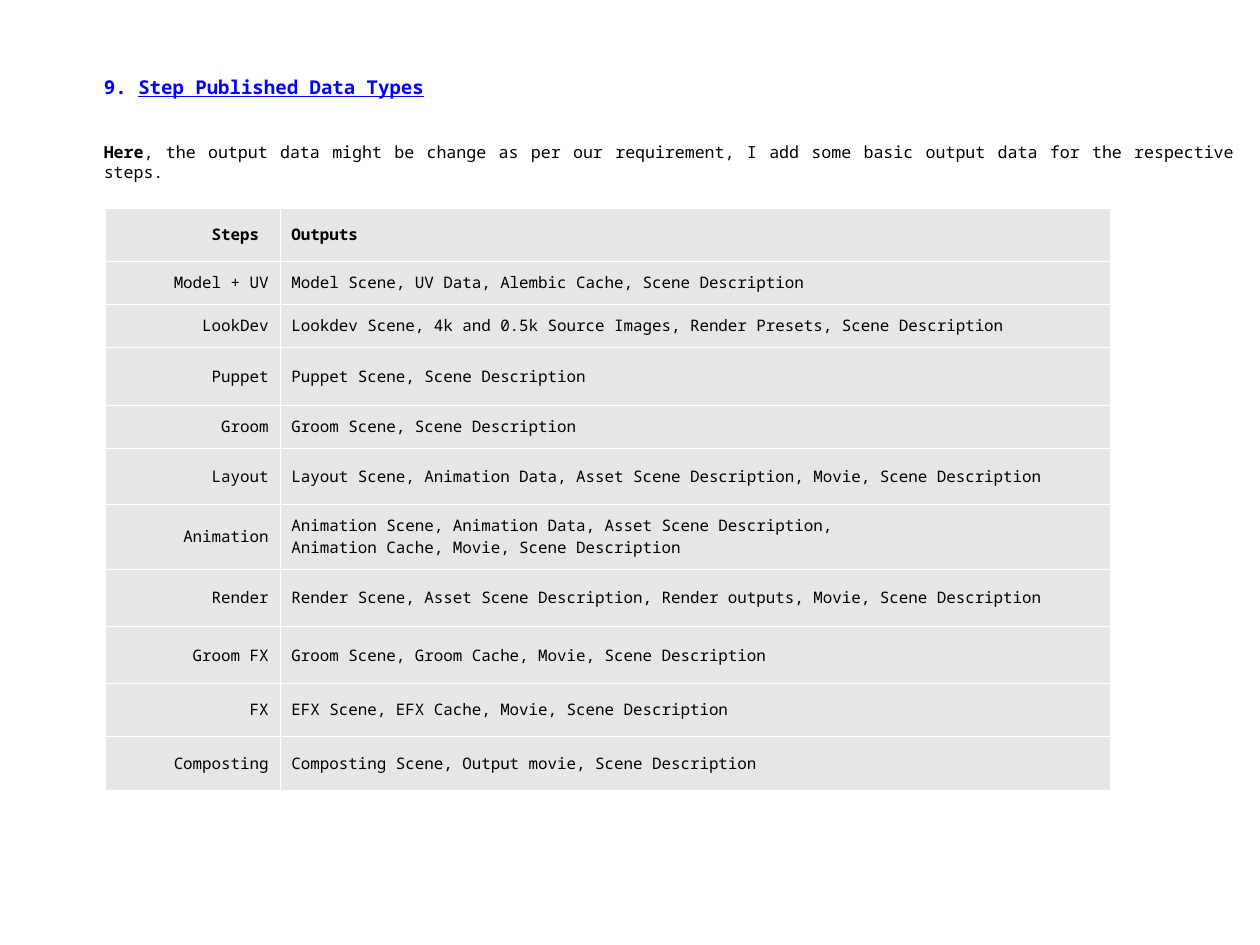
from lxml.etree import SubElement
from pptx import Presentation
from pptx.dml.color import RGBColor
from pptx.enum.text import MSO_ANCHOR, MSO_AUTO_SIZE, PP_ALIGN
from pptx.oxml.ns import qn
from pptx.util import Inches, Pt

CM_PER_INCH = 2.54
FONT = "Noto Sans Mono"
BLACK = RGBColor(0x00, 0x00, 0x00)
BLUE = RGBColor(0x00, 0x00, 0xFF)
WHITE = RGBColor(0xFF, 0xFF, 0xFF)
CELL_GREY = RGBColor(0xE6, 0xE6, 0xE6)

# Step, its outputs, row height in inches
STEPS = [
    ("Steps ", "Outputs", 0.46),
    ("Model + UV", "Model Scene, UV Data, Alembic Cache, Scene Description", 0.38),
    ("LookDev", "Lookdev Scene, 4k and 0.5k Source Images, Render Presets, "
     "Scene Description", 0.38),
    ("Puppet", "Puppet Scene, Scene Description", 0.5),
    ("Groom", "Groom Scene, Scene Description", 0.38),
    ("Layout", "Layout Scene, Animation Data, Asset Scene Description, Movie, "
     "Scene Description", 0.49),
    ("Animation", "Animation Scene, Animation Data, Asset Scene Description,\n"
     "Animation Cache, Movie, Scene Description", 0.57),
    ("Render", "Render Scene, Asset Scene Description, Render outputs, Movie, "
     "Scene Description", 0.5),
    ("Groom FX", "Groom Scene, Groom Cache, Movie, Scene Description", 0.5),
    ("FX", "EFX Scene, EFX Cache, Movie, Scene Description", 0.46),
    ("Composting", "Composting Scene, Output movie, Scene Description", 0.47),
]
LOOKDEV_ROW = 2


def style_paragraph(paragraph, size, color, align):
    paragraph.alignment = align
    paragraph.font.name = FONT
    paragraph.font.size = Pt(size)
    paragraph.font.color.rgb = color


def prepare_frame(frame):
    frame.word_wrap = True
    frame.auto_size = MSO_AUTO_SIZE.NONE
    frame.vertical_anchor = MSO_ANCHOR.TOP


def add_title(slide):
    title = slide.shapes.title
    title.left, title.top = Inches(0.81), Inches(0.61)
    title.width, title.height = Inches(10.09), Inches(0.35)
    prepare_frame(title.text_frame)
    heading = title.text_frame.paragraphs[0]
    style_paragraph(heading, 12, BLUE, PP_ALIGN.JUSTIFY)
    heading.font.bold = True
    heading.add_run().text = "9. "
    name = heading.add_run()
    name.text = "Step Published Data Types"
    name.font.underline = True


def add_note(slide):
    box = slide.shapes.add_textbox(Inches(0.81), Inches(1.19), Inches(10.09), Inches(0.45))
    prepare_frame(box.text_frame)
    note = box.text_frame.paragraphs[0]
    style_paragraph(note, 10.5, BLACK, PP_ALIGN.JUSTIFY)
    lead = note.add_run()
    lead.text = "Here"
    lead.font.bold = True
    note.add_run().text = (", the output data might be change as per our requirement, "
                           "I add some basic output data for the respective steps.")


def set_borders(cell):
    properties = cell._tc.get_or_add_tcPr()
    for position, side in enumerate(("a:lnL", "a:lnR", "a:lnT", "a:lnB")):
        line = SubElement(properties, qn(side), w=str(Pt(0.06)))
        fill = SubElement(line, qn("a:solidFill"))
        SubElement(fill, qn("a:srgbClr"), val=str(WHITE))
        properties.insert(position, line)


def fill_cell(cell, text, align, bold):
    cell.text = text
    cell.vertical_anchor = MSO_ANCHOR.MIDDLE
    cell.fill.solid()
    cell.fill.fore_color.rgb = CELL_GREY
    set_borders(cell)
    for paragraph in cell.text_frame.paragraphs:
        style_paragraph(paragraph, 10, BLACK, align)
        paragraph.font.bold = bold


def add_steps_table(slide):
    table = slide.shapes.add_table(len(STEPS), 2, Inches(0.92), Inches(1.82),
                                   Inches(8.79), Inches(5.1)).table
    table.horz_banding = False
    table.columns[0].width = Inches(1.53)
    table.columns[1].width = Inches(7.26)
    for index, (step, outputs, height) in enumerate(STEPS):
        table.rows[index].height = Inches(height)
        is_header = index == 0
        fill_cell(table.cell(index, 0), step, PP_ALIGN.RIGHT, is_header)
        fill_cell(table.cell(index, 1), outputs, PP_ALIGN.LEFT, is_header)
    lookdev_outputs = table.cell(LOOKDEV_ROW, 1).text_frame.paragraphs[0]
    lookdev_outputs.space_before = lookdev_outputs.space_after = Pt(5.7)


def main():
    # Page of 28 by 21 cm, without the template's preset size type
    deck = Presentation()
    deck.slide_width = Inches(28 / CM_PER_INCH)
    deck.slide_height = Inches(21 / CM_PER_INCH)
    deck.element.sldSz.attrib.pop("type", None)
    slide = deck.slides.add_slide(deck.slide_layouts[5])  # title only

    # Steps and their published outputs
    add_steps_table(slide)

    # Heading and introduction
    add_title(slide)
    add_note(slide)

    deck.save("out.pptx")


if __name__ == "__main__":
    main()
